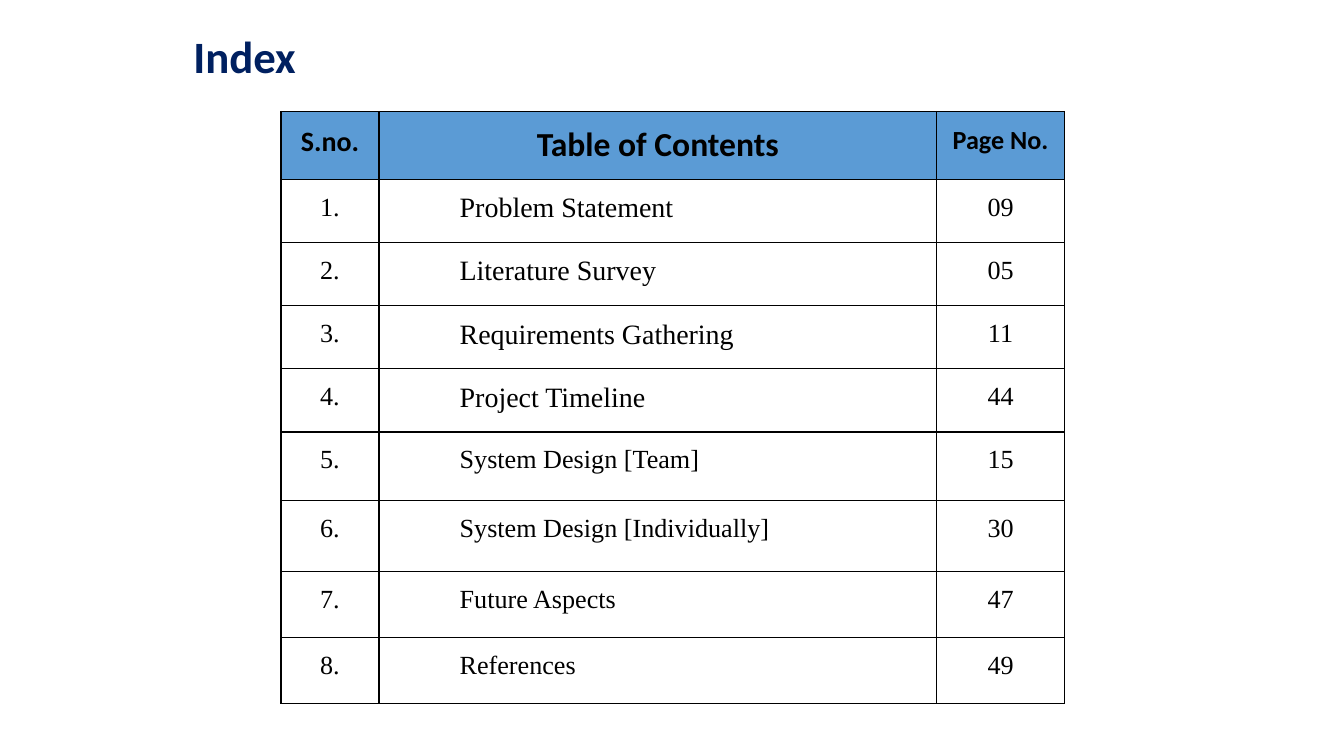
from pptx import Presentation
from pptx.dml.color import RGBColor
from pptx.enum.text import MSO_AUTO_SIZE as AutoSize, PP_ALIGN as Align
from pptx.oxml import parse_xml
from pptx.oxml.ns import nsdecls
from pptx.util import Inches, Pt

COLORS = {"title": "002060", "header": "5B9BD5", "text": "000000", "border": "000000"}
HEADING_FONT, BODY_FONT = "Calibri", "Times New Roman"

HEADERS = ["S.no.", "Table of Contents", "Page No."]
HEADER_SIZES = [15, 18, 14]
ENTRIES = [
    ("Problem Statement", "09"),
    ("Literature Survey", "05"),
    ("Requirements Gathering", "11"),
    ("Project Timeline", "44"),
    ("System Design [Team]", "15"),
    ("System Design [Individually]", "30"),
    ("Future Aspects", "47"),
    ("References", "49"),
]
LARGE_ENTRIES = 4  # the first entries have a larger topic text
COLUMN_WIDTHS = [0.73, 4.15, 0.95]
ROW_HEIGHTS = [0.47] * 5 + [0.51, 0.53, 0.49, 0.49]


def write_text(paragraph, text, size, font=BODY_FONT, bold=False, color="text"):
    run = paragraph.add_run()
    run.text = text
    for name, value in {"size": Pt(size), "name": font, "bold": bold}.items():
        setattr(run.font, name, value)
    run.font.color.rgb = RGBColor.from_string(COLORS[color])


def add_title(slide, text):
    box = slide.shapes.add_textbox(Inches(1.34), Inches(0.21), Inches(1.49), Inches(0.46))
    frame = box.text_frame
    frame.word_wrap = True
    frame.auto_size = AutoSize.SHAPE_TO_FIT_TEXT
    paragraph = frame.paragraphs[0]
    paragraph.line_spacing = 0.9
    write_text(paragraph, text, 24, HEADING_FONT, True, "title")


def format_cell(cell, fill=None):
    for side in ("left", "right", "top", "bottom"):
        setattr(cell, f"margin_{side}", Inches(0.1))
    properties = cell._tc.get_or_add_tcPr()
    for edge in ("lnL", "lnR", "lnT", "lnB"):
        properties.append(parse_xml(
            f'<a:{edge} {nsdecls("a")} w="{Pt(0.75)}"><a:solidFill>'
            f'<a:srgbClr val="{COLORS["border"]}"/></a:solidFill></a:{edge}>'))
    if fill:
        cell.fill.solid()
        cell.fill.fore_color.rgb = RGBColor.from_string(COLORS[fill])
    else:
        cell.fill.background()


def add_contents_table(slide):
    frame = slide.shapes.add_table(
        len(ROW_HEIGHTS), len(COLUMN_WIDTHS), Inches(2.09), Inches(0.83),
        Inches(sum(COLUMN_WIDTHS)), Inches(sum(ROW_HEIGHTS)))
    table = frame.table
    table.horz_banding = False
    for column, width in zip(table.columns, COLUMN_WIDTHS):
        column.width = Inches(width)
    for row, height in zip(table.rows, ROW_HEIGHTS):
        row.height = Inches(height)

    # Header row
    for cell, text, size in zip(table.rows[0].cells, HEADERS, HEADER_SIZES):
        format_cell(cell, "header")
        paragraph = cell.text_frame.paragraphs[0]
        paragraph.alignment = Align.CENTER
        write_text(paragraph, text, size, HEADING_FONT, True)

    # Numbered entries: number and page centred, topic indented
    for number, (topic, page) in enumerate(ENTRIES, start=1):
        topic_size = 15 if number <= LARGE_ENTRIES else 14
        values = [(f"{number}.", 14), (topic, topic_size), (page, 14)]
        for column, (text, size) in enumerate(values):
            cell = table.cell(number, column)
            format_cell(cell)
            paragraph = cell.text_frame.paragraphs[0]
            if column == 1:
                indent = paragraph._p.get_or_add_pPr()
                indent.set("marL", str(Inches(0.5)))
                indent.set("indent", "0")
            else:
                paragraph.alignment = Align.CENTER
            write_text(paragraph, text, size)


def main():
    # Widescreen slide, 16:9
    presentation = Presentation()
    presentation.slide_width = Inches(10)
    presentation.slide_height = Inches(10 * 9 / 16)
    slide = presentation.slides.add_slide(presentation.slide_layouts[6])
    add_contents_table(slide)
    add_title(slide, "Index")
    presentation.save("out.pptx")


if __name__ == "__main__":
    main()
